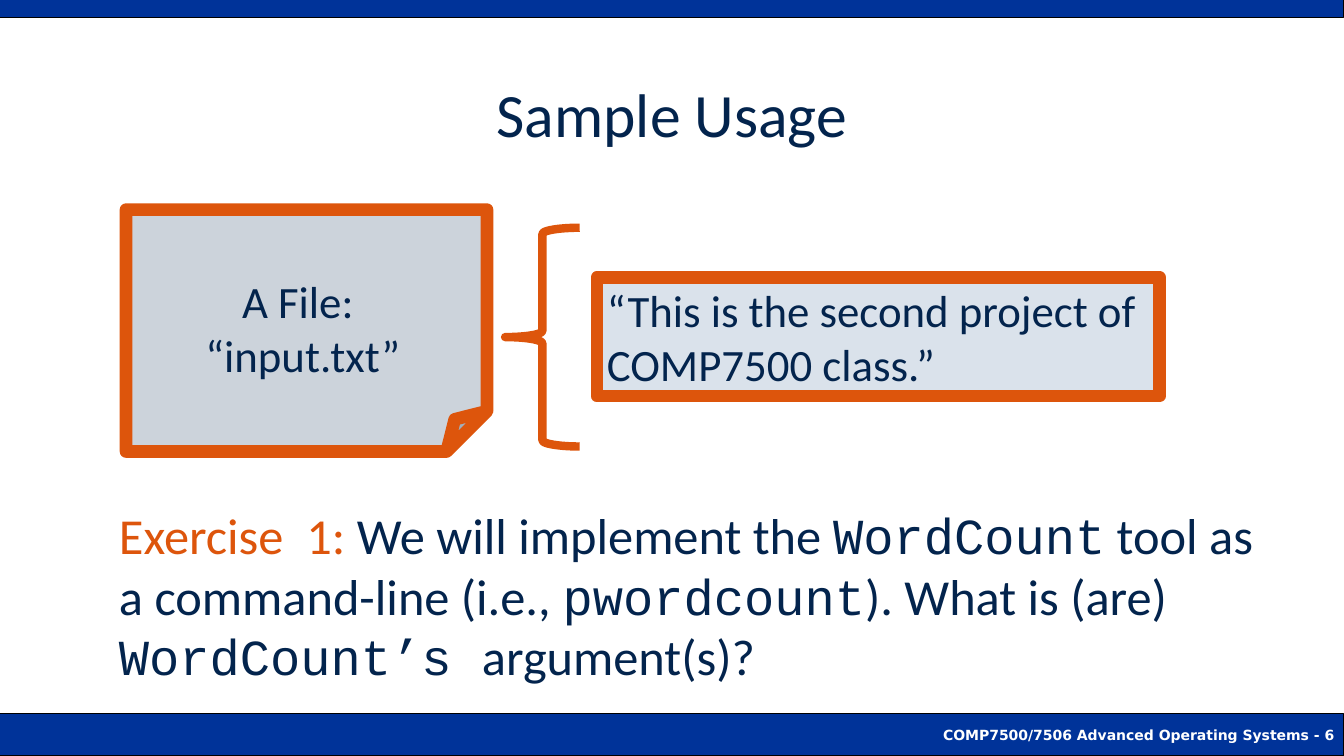
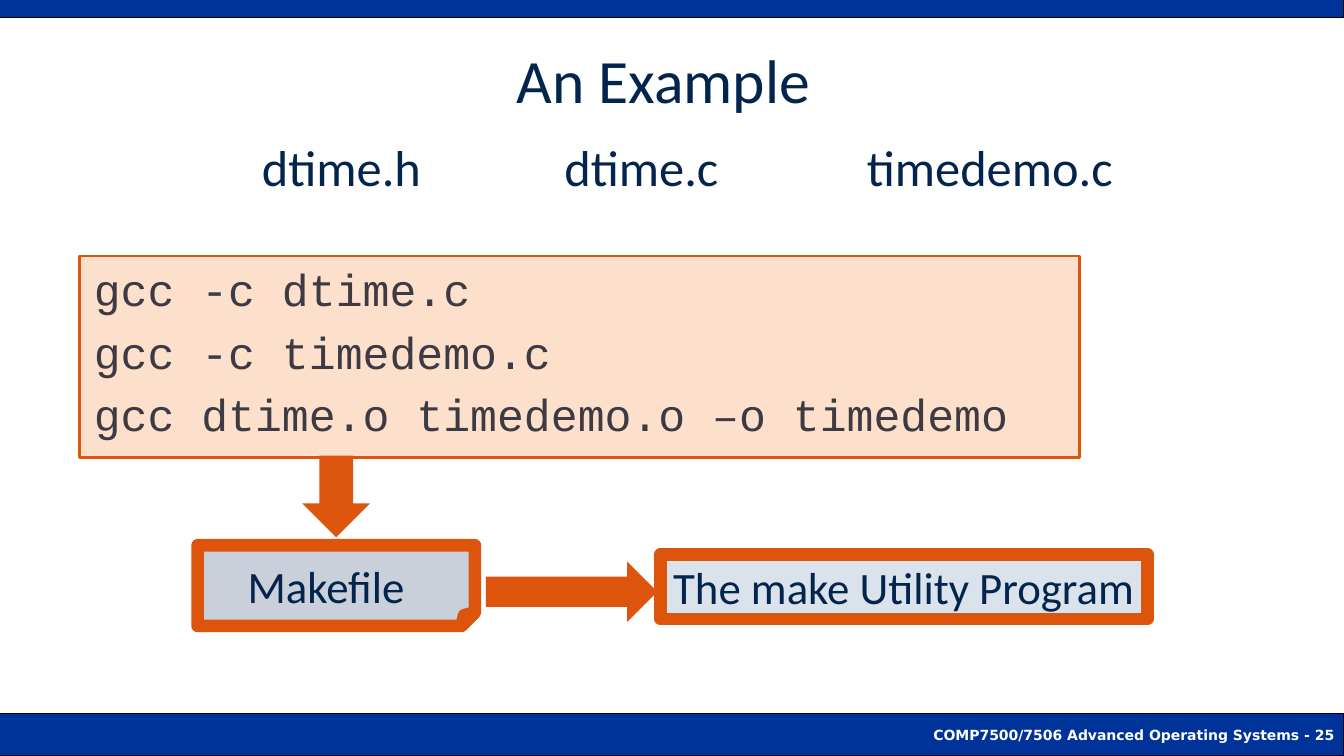
from dataclasses import dataclass

from lxml import etree
from pptx import Presentation
from pptx.dml.color import RGBColor
from pptx.enum.shapes import MSO_SHAPE
from pptx.enum.text import MSO_ANCHOR, MSO_AUTO_SIZE, PP_ALIGN
from pptx.oxml.ns import qn
from pptx.util import Inches, Pt

LEFT, CENTER, RIGHT = PP_ALIGN.LEFT, PP_ALIGN.CENTER, PP_ALIGN.RIGHT
TOP, MIDDLE = MSO_ANCHOR.TOP, MSO_ANCHOR.MIDDLE
NO_FIT = MSO_AUTO_SIZE.NONE
RECT, FOLDED = MSO_SHAPE.RECTANGLE, MSO_SHAPE.FOLDED_CORNER
BRACE = MSO_SHAPE.LEFT_BRACE
DOWN_ARROW, RIGHT_ARROW = MSO_SHAPE.DOWN_ARROW, MSO_SHAPE.RIGHT_ARROW

PAGE_WIDTH, PAGE_HEIGHT = 13.33, 7.5
COURSE = "COMP7500/7506 Advanced Operating Systems"


@dataclass(frozen=True)
class Theme:
    band: str = "003399"
    band_line: str = "000000"
    band_text: str = "FFFFFF"
    ink: str = "03244D"
    accent: str = "DD550C"
    panel: str = "496E9C"
    code_panel: str = "F68026"
    body_font: str = "Calibri"
    code_font: str = "Courier New"
    footer_font: str = "DejaVu Sans"
    title_size: int = 44
    body_size: int = 36
    label_size: int = 32
    footer_size: int = 10
    thick: float = 9
    medium: float = 6
    thin: float = 2
    hairline: float = 0.75


THEME = Theme()


def color(value):
    return RGBColor.from_string(value)


def write_text(para, text, *, size, font=THEME.body_font, ink=THEME.ink, bold=False):
    """Add one formatted span of text to a paragraph."""
    span = para.add_run()
    span.text = text
    span.font.size = Pt(size)
    span.font.name = font
    span.font.bold = bold
    span.font.color.rgb = color(ink)


def set_frame(frame, *, anchor=MIDDLE, margins=(0.1, 0.05, 0.1, 0.05)):
    frame.word_wrap = True
    frame.auto_size = NO_FIT
    frame.vertical_anchor = anchor
    (frame.margin_left, frame.margin_top,
     frame.margin_right, frame.margin_bottom) = map(Inches, margins)


def remove_bullet(para):
    properties = para._p.get_or_add_pPr()
    properties.set("marL", "0")
    properties.set("indent", "0")
    etree.SubElement(properties, qn("a:buNone"))


class Lecture:
    """Holds the deck, its theme and the current page."""

    def __init__(self, theme):
        self.theme = theme
        self.deck = Presentation()
        self.deck.slide_width = Inches(PAGE_WIDTH)
        self.deck.slide_height = Inches(PAGE_HEIGHT)
        self.page = None

    def new_page(self, number):
        self.page = self.deck.slides.add_slide(self.deck.slide_layouts[1])
        style = self.theme
        band = dict(fill=style.band, line=style.band_line, width=style.hairline)
        footer = self.shape(RECT, (0, 7.08, PAGE_WIDTH, 0.42), **band)
        self.label(footer, f"{COURSE} - {number}", align=RIGHT, bold=True,
                   size=style.footer_size, font=style.footer_font, ink=style.band_text)
        self.shape(RECT, (0, 0, PAGE_WIDTH, 0.17), **band)

    def place(self, holder, at, anchor):
        holder.left, holder.top, holder.width, holder.height = map(Inches, at)
        set_frame(holder.text_frame, anchor=anchor)
        return holder.text_frame

    def title(self, text, at):
        para = self.place(self.page.shapes.title, at, MIDDLE).paragraphs[0]
        para.alignment = CENTER
        write_text(para, text, size=self.theme.title_size)

    def body(self, at, paragraphs, *, anchor=TOP, gap=0):
        """Fill the body; each paragraph is a list of (text, format) spans."""
        frame = self.place(self.page.placeholders[1], at, anchor)
        for index, spans in enumerate(paragraphs):
            para = frame.add_paragraph() if index else frame.paragraphs[0]
            para.alignment = LEFT
            para.space_before = Pt(gap if index else 0)
            remove_bullet(para)
            for text, style in spans:
                write_text(para, text, **style)

    def text(self, at, text, **style):
        box = self.page.shapes.add_textbox(*map(Inches, at))
        self.label(box, text, align=LEFT, frame=dict(anchor=TOP), **style)

    def shape(self, kind, at, *, fill=None, opacity=None, line=None, width=0):
        box = self.page.shapes.add_shape(kind, *map(Inches, at))
        box.shadow.inherit = False
        if fill:
            box.fill.solid()
            box.fill.fore_color.rgb = color(fill)
        else:
            box.fill.background()
        if opacity:
            tint = box._element.spPr.find(qn("a:solidFill"))[0]
            etree.SubElement(tint, qn("a:alpha"), val=str(opacity * 1000))
        if line:
            box.line.color.rgb = color(line)
            box.line.width = Pt(width)
        else:
            box.line.fill.background()
        return box

    def label(self, box, text, *, align=CENTER, frame=None, **style):
        set_frame(box.text_frame, **(frame or {}))
        para = box.text_frame.paragraphs[0]
        para.alignment = align
        write_text(para, text, **{"size": self.theme.label_size, **style})

    def card(self, kind, at, text, *, fill, opacity=20, **style):
        box = self.shape(kind, at, fill=fill, opacity=opacity,
                         line=self.theme.accent, width=self.theme.thick)
        self.label(box, text, **style)

    def arrow(self, kind, at):
        self.shape(kind, at, fill=self.theme.accent)


def sample_usage(lecture):
    style = lecture.theme
    lecture.new_page(6)
    lecture.title("Sample Usage", (1.25, 0.58, 10.83, 1.08))

    # The file and its content
    lecture.card(FOLDED, (1.25, 2.08, 3.58, 2.4), "A File:  “input.txt”", fill=style.ink,
                 frame=dict(anchor=TOP, margins=(0.52, 0.64, 0.59, 0)))
    lecture.card(RECT, (5.92, 2.75, 5.58, 1.18),
                 "“This is the second project of COMP7500 class.”",
                 fill=style.panel, align=LEFT)
    lecture.shape(BRACE, (5.01, 2.26, 0.74, 2.17), line=style.accent, width=style.medium)

    # The exercise
    plain = dict(size=style.body_size)
    code = dict(plain, font=style.code_font)
    exercise = [
        ("Exercise  1: ", dict(plain, ink=style.accent)),
        ("We will implement the ", plain),
        ("WordCount", code),
        (" tool as a command-line (i.e., ", plain),
        ("pwordcount", code),
        ("). What is (are) ", plain),
        ("WordCount’s ", code),
        ("argument(s)?", plain),
    ]
    lecture.body((1.08, 4.82, 11.5, 2.17), [exercise], anchor=MIDDLE)


def make_example(lecture):
    style = lecture.theme
    lecture.new_page(25)
    lecture.title("An Example", (0.83, 0.32, 11.5, 0.92))

    # File names in equal columns
    for column, name in enumerate(("dtime.h", "dtime.c", "timedemo.c")):
        lecture.text((2.5 + 3 * column, 1.3, 2.9, 0.8), name, size=style.body_size)

    # Commands under a tinted panel
    code = dict(size=style.label_size, font=style.code_font)
    commands = ("gcc -c dtime.c", "gcc -c timedemo.c", "gcc dtime.o timedemo.o –o timedemo")
    lecture.body((0.83, 2.55, 9.84, 1.95), [[(command, code)] for command in commands], gap=6)
    lecture.shape(RECT, (0.79, 2.54, 9.92, 2), fill=style.code_panel, opacity=24,
                  line=style.accent, width=style.thin)

    # From the commands to the makefile and the utility
    lecture.card(RECT, (6.55, 5.5, 4.83, 0.64), "The make Utility Program",
                 fill=style.panel, frame=dict(margins=(0.05, 0.05, 0.05, 0.05)))
    lecture.arrow(DOWN_ARROW, (3, 4.52, 0.67, 0.81))
    lecture.card(FOLDED, (1.96, 5.41, 2.75, 0.8), "Makefile", fill=style.ink, opacity=21,
                 frame=dict(anchor=TOP, margins=(0.1, 0.13, 0.3, 0)))
    lecture.arrow(RIGHT_ARROW, (4.82, 5.57, 1.7, 0.6))


def main():
    lecture = Lecture(THEME)
    sample_usage(lecture)
    make_example(lecture)
    lecture.deck.save("out.pptx")


if __name__ == "__main__":
    main()
